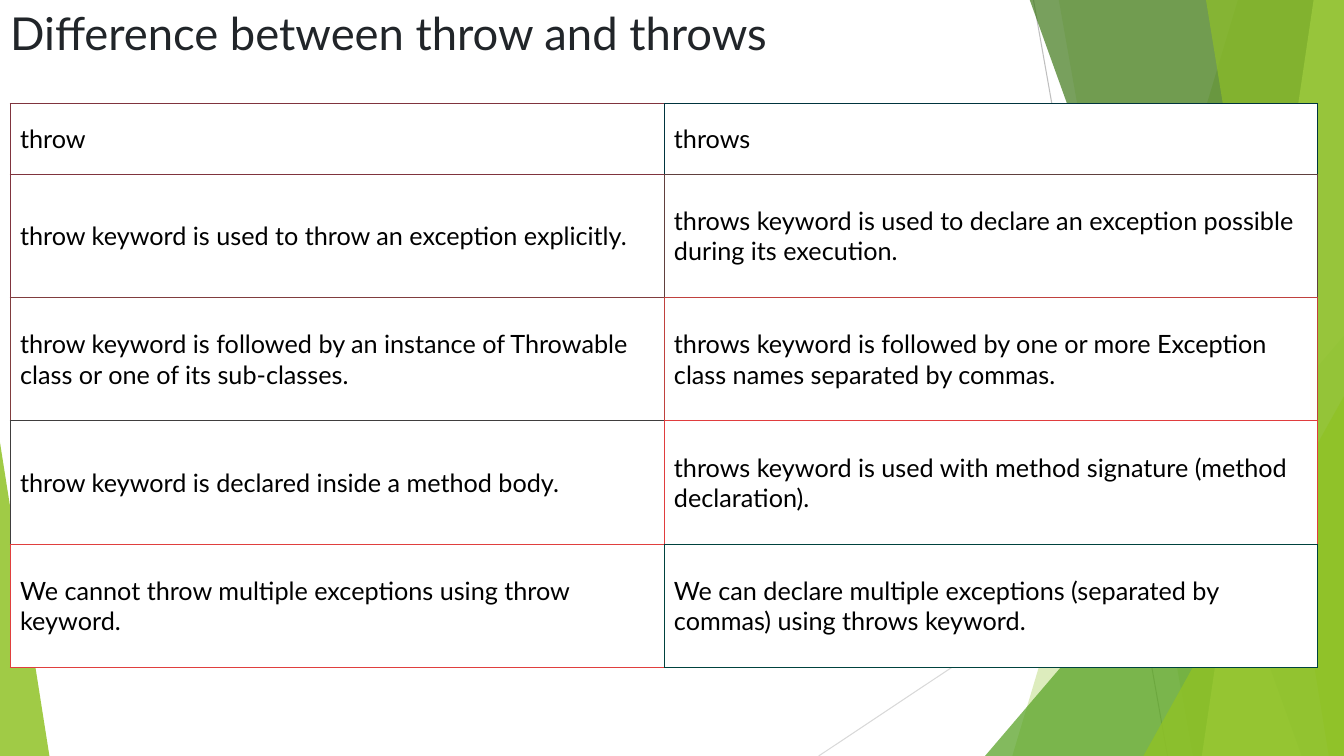
from dataclasses import dataclass

from lxml import etree
from pptx import Presentation
from pptx.dml.color import RGBColor
from pptx.enum.shapes import MSO_CONNECTOR, MSO_SHAPE
from pptx.enum.text import MSO_ANCHOR, PP_ALIGN
from pptx.oxml.ns import qn
from pptx.util import Inches, Pt

# Content
TITLE = "Difference between throw and throws"
ROWS = [
    ("throw", "throws"),
    ("throw keyword is used to throw an exception explicitly.",
     "throws keyword is used to declare an exception possible during its execution."),
    ("throw keyword is followed by an instance of Throwable class or one of its sub-classes.",
     "throws keyword is followed by one or more Exception class names separated by commas."),
    ("throw keyword is declared inside a method body.",
     "throws keyword is used with method signature (method declaration)."),
    ("We cannot throw multiple exceptions using throw keyword.",
     "We can declare multiple exceptions (separated by commas) using throws keyword."),
]
# One border colour per cell
BORDERS = [
    ("80343E", "00343E"),
    ("80343E", "60403E"),
    ("803D3E", "C0413E"),
    ("403E3E", "E03D3E"),
    ("E03F3E", "00423E"),
]


@dataclass(frozen=True)
class Theme:
    font: str = "Lato"
    title_size: float = 32.4
    cell_size: float = 18
    line_width: float = 0.75
    border_width: float = 0.6
    title: str = "212529"
    text: str = "000000"
    paper: str = "FFFFFF"
    lime: str = "90C226"
    green: str = "54A021"
    forest: str = "3F7819"
    pale: str = "C0E474"
    grey: str = "BFBFBF"
    light_grey: str = "D9D9D9"


T = Theme()
WIDTH, HEIGHT, BAND_TOP = 13.33, 7.5, -0.01

# Decoration: lines are (from, to, colour); bands are (top x, bottom x, colour, opacity);
# triangles are (left, top, width, apex, colour, opacity)
LINES = [
    ((10.25, 0), (11.58, HEIGHT), T.grey),
    ((WIDTH, 4.03), (8.12, HEIGHT), T.light_grey),
]
BACK_BANDS = [(12.28, 10.04, T.lime, 30), (10.5, 11.83, T.lime, 20)]
BACK_TRIANGLES = [(9.77, 3.33, 3.56, 1, T.green, 72)]
FRONT_BANDS = [
    (10.21, 12.91, T.forest, 70),
    (13.03, 11.92, T.pale, 70),
    (11.96, 13.18, T.lime, 65),
]
FRONT_TRIANGLES = [(11.34, 3.93, 1.99, 1, T.lime, 80), (0, 4.39, 0.49, 0, T.lime, 85)]


def rgb(color):
    return RGBColor.from_string(color)


def fill_facet(sp, color, opacity):
    sp.shadow.inherit = False
    sp.line.fill.background()
    sp.fill.solid()
    sp.fill.fore_color.rgb = rgb(color)
    clr = sp.fill._xPr.find(qn("a:solidFill"))[0]
    etree.SubElement(clr, qn("a:alpha"), val=str(opacity * 1000))


def add_line(s, start, end, color):
    cx = s.shapes.add_connector(MSO_CONNECTOR.STRAIGHT, *map(Inches, start + end))
    cx.line.color.rgb = rgb(color)
    cx.line.width = Pt(T.line_width)
    etree.SubElement(cx._element.spPr, qn("a:effectLst"))


def add_band(s, top_x, bottom_x, color, opacity):
    corners = [(WIDTH, BAND_TOP), (WIDTH, HEIGHT), (bottom_x, HEIGHT)]
    fb = s.shapes.build_freeform(Inches(top_x), Inches(BAND_TOP))
    fb.add_line_segments([(Inches(x), Inches(y)) for x, y in corners], close=True)
    fill_facet(fb.convert_to_shape(), color, opacity)


def add_triangle(s, left, top, width, apex, color, opacity):
    box = map(Inches, (left, top, width, HEIGHT - top))
    sp = s.shapes.add_shape(MSO_SHAPE.ISOSCELES_TRIANGLE, *box)
    sp.adjustments[0] = apex
    fill_facet(sp, color, opacity)


def write(tf, text, size, color):
    p = tf.paragraphs[0]
    p.alignment = PP_ALIGN.LEFT
    r = p.add_run()
    r.text = text
    r.font.name = T.font
    r.font.size = Pt(size)
    r.font.color.rgb = rgb(color)


def set_borders(cell, colors):
    tc_pr = cell._tc.get_or_add_tcPr()
    for i, (side, color) in enumerate(zip("LRTB", colors)):
        ln = etree.Element(qn(f"a:ln{side}"), w=str(Pt(T.border_width)))
        fill = etree.SubElement(ln, qn("a:solidFill"))
        etree.SubElement(fill, qn("a:srgbClr"), val=color)
        tc_pr.insert(i, ln)


def add_comparison(s):
    left, top, width, height, header = 0.1, 1.03, 12.97, 5.59, 0.7
    n_rows, n_cols = len(ROWS), len(ROWS[0])
    frame = s.shapes.add_table(n_rows, n_cols, *map(Inches, (left, top, width, height)))
    table = frame.table
    table.first_row = table.horz_banding = False
    for col in table.columns:
        col.width = Inches(width / n_cols)
    for i, row in enumerate(table.rows):
        row.height = Inches((height - header) / (n_rows - 1) if i else header)
    for i, texts in enumerate(ROWS):
        for j, text in enumerate(texts):
            cell = table.cell(i, j)
            cell.vertical_anchor = MSO_ANCHOR.MIDDLE
            cell.fill.solid()
            cell.fill.fore_color.rgb = rgb(T.paper)
            write(cell.text_frame, text, T.cell_size, T.text)
            # Shared edges take the colour of the cell to the right or below
            own = BORDERS[i][j]
            right = BORDERS[i][min(j + 1, n_cols - 1)]
            below = BORDERS[min(i + 1, n_rows - 1)][j]
            set_borders(cell, (own, right, own, below))


def main():
    prs = Presentation()
    prs.slide_width, prs.slide_height = Inches(WIDTH), Inches(HEIGHT)
    s = prs.slides.add_slide(prs.slide_layouts[5])

    # Faceted background, back to front
    for line in LINES:
        add_line(s, *line)
    for bands, triangles in ((BACK_BANDS, BACK_TRIANGLES), (FRONT_BANDS, FRONT_TRIANGLES)):
        for band in bands:
            add_band(s, *band)
        for triangle in triangles:
            add_triangle(s, *triangle)

    # Title, raised above the background
    title = s.shapes.title
    title.left, title.top, title.width, title.height = map(Inches, (0, 0, WIDTH, 0.79))
    title.text_frame.vertical_anchor = MSO_ANCHOR.TOP
    title.text_frame.word_wrap = True
    write(title.text_frame, TITLE, T.title_size, T.title)
    s.shapes._spTree.append(title._element)

    # Comparison table
    add_comparison(s)
    prs.save("out.pptx")


if __name__ == "__main__":
    main()
